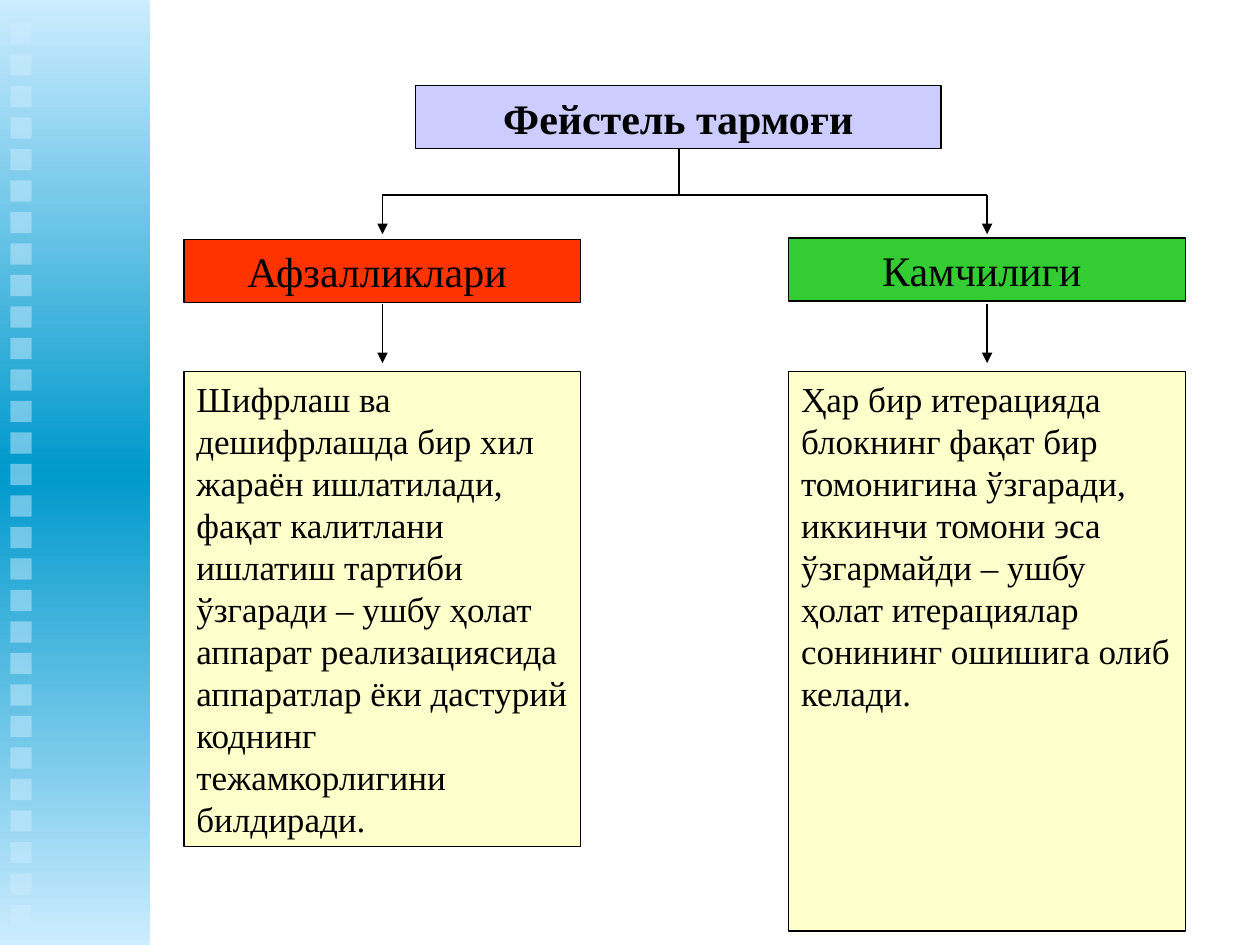
from copy import deepcopy

from lxml.etree import SubElement
from pptx import Presentation
from pptx.dml.color import RGBColor
from pptx.enum.shapes import MSO_CONNECTOR as Connector, MSO_SHAPE as Shape
from pptx.enum.text import MSO_ANCHOR as Anchor, MSO_AUTO_SIZE as AutoSize, PP_ALIGN as Align
from pptx.oxml.ns import qn
from pptx.util import Cm, Pt

COLORS = {
    "ink": "000000",
    "title": "CCCCFF",
    "pros": "FF3300",
    "cons": "33CC33",
    "body": "FFFFCC",
    "pale": "CCECFF",
    "deep": "0099CC",
}
FONT = "Times New Roman"
TITLE = "Фейстель тармоғи"
COLUMNS = [
    {
        "heading": "Афзалликлари ",
        "color": "pros",
        "left": 3.71,
        "top": 4.83,
        "body_height": 9.58,
        "body": "Шифрлаш ва дешифрлашда бир хил жараён ишлатилади, фақат калитлани "
                "ишлатиш тартиби ўзгаради – ушбу ҳолат аппарат реализациясида "
                "аппаратлар ёки дастурий коднинг тежамкорлигини билдиради.",
    },
    {
        "heading": "Камчилиги ",
        "color": "cons",
        "left": 15.9,
        "top": 4.8,
        "body_height": 11.28,
        "body": "Ҳар бир итерацияда блокнинг фақат бир томонигина ўзгаради, "
                "иккинчи томони эса ўзгармайди – ушбу ҳолат итерациялар "
                "сонининг ошишига олиб келади.",
    },
]

SLIDE_WIDTH, SLIDE_HEIGHT = 25.4, 19.05
TITLE_LEFT, TITLE_TOP, TITLE_WIDTH = 8.38, 1.73, 10.59
COLUMN_WIDTH, HEADING_HEIGHT, BODY_TOP = 8, 1.27, 7.49
STEM_X, BRANCH_Y = 13.69, 3.93
SIDEBAR_WIDTH = 3.02
SQUARE_COUNT, SQUARE_SIZE, SQUARE_LEFT = 29, 0.43, 0.21
FIRST_SQUARE, LAST_SQUARE = 0.46, 18.24


def rgb(name):
    return RGBColor.from_string(COLORS[name])


def add_rect(page, left, top, width, height):
    box = page.shapes.add_shape(Shape.RECTANGLE, Cm(left), Cm(top), Cm(width), Cm(height))
    box.shadow.inherit = False
    return box


def format_box(box, text, color, size, align, bold=False):
    box.fill.solid()
    box.fill.fore_color.rgb = rgb(color)
    box.line.color.rgb = rgb("ink")
    box.line.width = Pt(0.75)
    frame = box.text_frame
    frame.word_wrap = True
    frame.auto_size = AutoSize.NONE
    frame.vertical_anchor = Anchor.TOP
    para = frame.paragraphs[0]
    para.alignment = align
    span = para.add_run()
    span.text = text
    span.font.name = FONT
    span.font.size = Pt(size)
    span.font.bold = bold
    span.font.color.rgb = rgb("ink")


def add_line(page, x1, y1, x2, y2, arrow=False):
    line = page.shapes.add_connector(Connector.STRAIGHT, Cm(x1), Cm(y1), Cm(x2), Cm(y2))
    line.line.color.rgb = rgb("ink")
    line.line.width = Pt(0.75)
    if arrow:
        SubElement(line.line._get_or_add_ln(), qn("a:tailEnd"), type="triangle")
    SubElement(line._element.spPr, qn("a:effectLst"))


def add_sidebar(page):
    band = add_rect(page, 0, 0, SIDEBAR_WIDTH, SLIDE_HEIGHT)
    band.line.fill.background()
    band.fill.gradient()
    band.fill.gradient_angle = 270
    stops = band._element.spPr.find(qn("a:gradFill")).find(qn("a:gsLst"))
    stops.insert(1, deepcopy(stops[0]))
    for stop, name, position in zip(band.fill.gradient_stops, ("pale", "deep", "pale"), (0, 0.5, 1)):
        stop.color.rgb = rgb(name)
        stop.position = position

    pitch = (LAST_SQUARE - FIRST_SQUARE) / (SQUARE_COUNT - 1)
    for index in range(SQUARE_COUNT):
        square = add_rect(page, SQUARE_LEFT, FIRST_SQUARE + index * pitch, SQUARE_SIZE, SQUARE_SIZE)
        square.line.fill.background()
        square.fill.solid()
        square.fill.fore_color.rgb = rgb("pale")
        color = square._element.spPr.find(qn("a:solidFill"))[0]
        SubElement(color, qn("a:alpha"), val="50000")


def add_title(page):
    title = page.shapes.title
    title.left, title.top = Cm(TITLE_LEFT), Cm(TITLE_TOP)
    title.width, title.height = Cm(TITLE_WIDTH), Cm(HEADING_HEIGHT)
    format_box(title, TITLE, "title", 24, Align.CENTER, bold=True)


def add_column(page, column):
    left = column["left"]
    heading = add_rect(page, left, column["top"], COLUMN_WIDTH, HEADING_HEIGHT)
    format_box(heading, column["heading"], column["color"], 24, Align.CENTER)
    body = add_rect(page, left, BODY_TOP, COLUMN_WIDTH, column["body_height"])
    format_box(body, column["body"], "body", 20, Align.LEFT)


def add_tree(page):
    centers = [column["left"] + COLUMN_WIDTH / 2 for column in COLUMNS]
    add_line(page, STEM_X, TITLE_TOP + HEADING_HEIGHT, STEM_X, BRANCH_Y)
    add_line(page, centers[0], BRANCH_Y, centers[-1], BRANCH_Y)
    for start, end in ((BRANCH_Y, 4.72), (6.12, 7.32)):
        for center in centers:
            add_line(page, center, start, center, end, arrow=True)


def main():
    deck = Presentation()
    deck.slide_width, deck.slide_height = Cm(SLIDE_WIDTH), Cm(SLIDE_HEIGHT)
    page = deck.slides.add_slide(deck.slide_layouts[5])
    add_sidebar(page)
    add_title(page)
    for column in COLUMNS:
        add_column(page, column)
    add_tree(page)
    deck.save("out.pptx")


if __name__ == "__main__":
    main()
